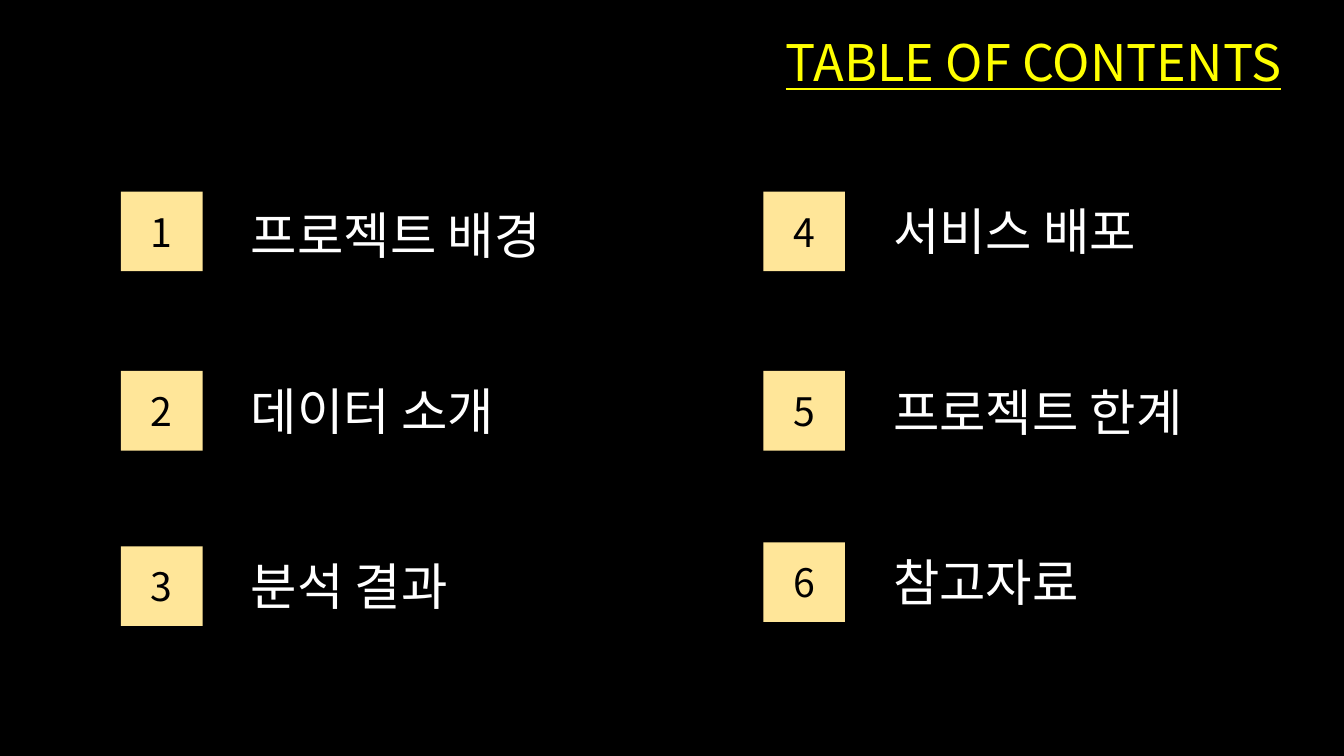
from typing import NamedTuple

from lxml import etree
from pptx import Presentation
from pptx.dml.color import RGBColor
from pptx.enum.shapes import MSO_SHAPE
from pptx.enum.text import MSO_ANCHOR, MSO_AUTO_SIZE, PP_ALIGN
from pptx.oxml.ns import qn
from pptx.util import Inches, Pt

RECT = MSO_SHAPE.RECTANGLE
MIDDLE = MSO_ANCHOR.MIDDLE
GROW = MSO_AUTO_SIZE.SHAPE_TO_FIT_TEXT
LEFT, CENTER = PP_ALIGN.LEFT, PP_ALIGN.CENTER

FONT = "Noto Sans CJK KR"
COLORS = {
    "background": "000000",
    "title": "FFFF00",
    "badge": "FFE699",
    "number": "000000",
    "label": "FFFFFF",
}
COLUMN_LEFTS = (1.2, 7.57)
ROWS = 3
BADGE_WIDTH, BADGE_HEIGHT = 0.81, 0.79
LABEL_OFFSET, LABEL_HEIGHT = 1.19, 0.71


class Entry(NamedTuple):
    label: str
    badge_top: float
    label_top: float
    label_width: float


ENTRIES = (
    Entry("프로젝트 배경", 1.9, 1.98, 3.26),
    Entry("데이터 소개", 3.68, 3.72, 2.77),
    Entry("분석 결과", 5.42, 5.46, 2.29),
    Entry("서비스 배포", 1.9, 1.94, 2.77),
    Entry("프로젝트 한계", 3.68, 3.73, 3.25),
    Entry("참고자료", 5.38, 5.42, 2.14),
)


def write(tf, text: str, *, size: float, color: str, align=LEFT,
          underline: bool = False) -> None:
    p = tf.paragraphs[0]
    p.alignment = align
    r = p.add_run()
    r.text = text
    r.font.size = Pt(size)
    r.font.color.rgb = RGBColor.from_string(COLORS[color])
    r.font.name = FONT
    if underline:
        r.font.underline = True
    # Hangul takes its typeface from the East Asian font
    etree.SubElement(r.font._element, qn("a:ea"), typeface=FONT)


def add_text(slide, text: str, left: float, top: float, width: float,
             **fmt) -> None:
    sp = slide.shapes.add_textbox(
        Inches(left), Inches(top), Inches(width), Inches(LABEL_HEIGHT))
    tf = sp.text_frame
    tf.word_wrap = False
    tf.auto_size = GROW
    write(tf, text, size=36, **fmt)


def add_badge(slide, number: int, left: float, top: float) -> None:
    sp = slide.shapes.add_shape(
        RECT, Inches(left), Inches(top),
        Inches(BADGE_WIDTH), Inches(BADGE_HEIGHT))
    sp.shadow.inherit = False
    sp.fill.solid()
    sp.fill.fore_color.rgb = RGBColor.from_string(COLORS["badge"])
    sp.line.fill.background()
    sp.text_frame.vertical_anchor = MIDDLE
    write(sp.text_frame, str(number), size=28, color="number", align=CENTER)


def add_entry(slide, number: int, entry: Entry) -> None:
    left = COLUMN_LEFTS[(number - 1) // ROWS]
    add_badge(slide, number, left, entry.badge_top)
    add_text(slide, entry.label, left + LABEL_OFFSET, entry.label_top,
             entry.label_width, color="label")


def main() -> None:
    prs = Presentation()
    prs.slide_width, prs.slide_height = Inches(13.33), Inches(7.5)
    s = prs.slides.add_slide(prs.slide_layouts[6])
    s.background.fill.solid()
    s.background.fill.fore_color.rgb = RGBColor.from_string(
        COLORS["background"])
    add_text(s, "TABLE OF CONTENTS", 7.47, 0.26, 5.56,
             color="title", align=CENTER, underline=True)
    for number, entry in enumerate(ENTRIES, start=1):
        add_entry(s, number, entry)
    prs.save("out.pptx")


if __name__ == "__main__":
    main()
